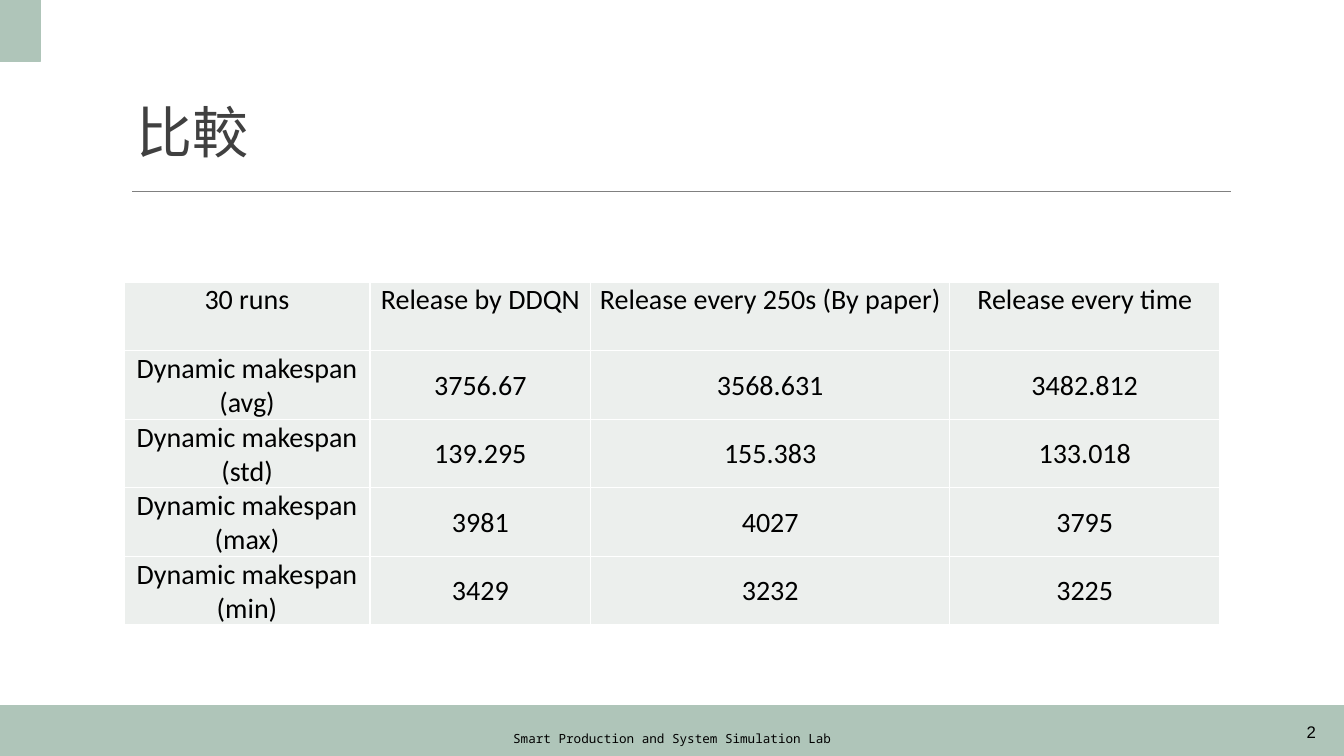
from dataclasses import dataclass

import pptx
import pptx.dml.color
import pptx.enum.shapes
import pptx.enum.text
import pptx.oxml
import pptx.oxml.ns
import pptx.slide
import pptx.table
import pptx.text.text
import pptx.util

Inches = pptx.util.Inches
Pt = pptx.util.Pt
RGBColor = pptx.dml.color.RGBColor
PP_ALIGN = pptx.enum.text.PP_ALIGN
MSO_ANCHOR = pptx.enum.text.MSO_ANCHOR

SAGE = RGBColor(0xAF, 0xC5, 0xB9)
CELL_FILL = RGBColor(0xEC, 0xEF, 0xED)
WHITE = RGBColor(0xFF, 0xFF, 0xFF)
RULE_GRAY = RGBColor(0x80, 0x80, 0x80)
TITLE_GRAY = RGBColor(0x40, 0x40, 0x40)
BLACK = RGBColor(0, 0, 0)

COLUMN_WIDTHS = (2.44, 2.19, 3.56, 2.68)
ROW_HEIGHT = 0.68
RESULTS = (
    ("30 runs", "Release by DDQN", "Release every 250s (By paper)", "Release every time"),
    ("Dynamic makespan (avg)", "3756.67", "3568.631", "3482.812"),
    ("Dynamic makespan (std)", "139.295", "155.383", "133.018"),
    ("Dynamic makespan (max)", "3981", "4027", "3795"),
    ("Dynamic makespan (min)", "3429", "3232", "3225"),
)


@dataclass(frozen=True)
class Box:
    left: float
    top: float
    width: float
    height: float

    def lengths(self) -> tuple[int, ...]:
        return tuple(Inches(n) for n in (self.left, self.top, self.width, self.height))


@dataclass(frozen=True)
class Label:
    text: str
    box: Box
    font_name: str
    size: float
    color: RGBColor = BLACK
    alignment: PP_ALIGN = PP_ALIGN.LEFT
    anchor: MSO_ANCHOR = MSO_ANCHOR.MIDDLE


BANDS = (Box(0, 7, 13.33, 0.5), Box(0, 0, 0.4, 0.61))
TITLE = Label("比較", Box(1.26, 1.09, 10.46, 0.6), "Noto Sans CJK SC", 40,
              TITLE_GRAY, anchor=MSO_ANCHOR.BOTTOM)
FOOTERS = (
    Label("Smart Production and System Simulation Lab", Box(4.03, 7.19, 5.27, 0.28),
          "Noto Sans Mono", 9, alignment=PP_ALIGN.CENTER),
    Label("2", Box(11.72, 7.06, 1.43, 0.4), "Arial", 12, alignment=PP_ALIGN.RIGHT),
)


def add_band(slide: pptx.slide.Slide, box: Box) -> None:
    shape = slide.shapes.add_shape(pptx.enum.shapes.MSO_SHAPE.RECTANGLE, *box.lengths())
    shape.shadow.inherit = False
    shape.fill.solid()
    shape.fill.fore_color.rgb = SAGE
    shape.line.color.rgb = SAGE
    shape.line.width = Pt(1.25)


def add_title_rule(slide: pptx.slide.Slide) -> None:
    rule = slide.shapes.add_connector(
        pptx.enum.shapes.MSO_CONNECTOR.STRAIGHT,
        Inches(1.31), Inches(1.9), Inches(12.21), Inches(1.9))
    rule.line.color.rgb = RULE_GRAY
    rule.line.width = Pt(0.5)
    rule._element.spPr.append(pptx.oxml.parse_xml(
        f'<a:effectLst {pptx.oxml.ns.nsdecls("a")}/>'))


def format_run(run: pptx.text.text._Run, font_name: str, size: float, color: RGBColor) -> None:
    run.font.size = Pt(size)
    run.font.color.rgb = color
    run.font.name = font_name
    run._r.get_or_add_rPr().append(pptx.oxml.parse_xml(
        f'<a:ea {pptx.oxml.ns.nsdecls("a")} typeface="{font_name}"/>'))


def add_label(slide: pptx.slide.Slide, label: Label) -> pptx.text.text._Paragraph:
    text_frame = slide.shapes.add_textbox(*label.box.lengths()).text_frame
    text_frame.word_wrap = True
    text_frame.vertical_anchor = label.anchor
    text_frame.text = label.text
    paragraph = text_frame.paragraphs[0]
    paragraph.alignment = label.alignment
    format_run(paragraph.runs[0], label.font_name, label.size, label.color)
    return paragraph


def add_title(slide: pptx.slide.Slide) -> None:
    paragraph = add_label(slide, TITLE)
    paragraph.line_spacing = 0.85
    paragraph.runs[0]._r.get_or_add_rPr().set("spc", "-50")


def set_borders(cell: pptx.table._Cell) -> None:
    properties = cell._tc.get_or_add_tcPr()
    for position, side in enumerate(("lnL", "lnR", "lnT", "lnB")):
        properties.insert(position, pptx.oxml.parse_xml(
            f'<a:{side} {pptx.oxml.ns.nsdecls("a")} w="{Pt(1)}"><a:solidFill>'
            f'<a:srgbClr val="{WHITE}"/></a:solidFill></a:{side}>'))


def fill_cell(cell: pptx.table._Cell, text: str, anchor: MSO_ANCHOR) -> None:
    cell.text_frame.text = text
    cell.vertical_anchor = anchor
    cell.margin_left = cell.margin_right = cell.margin_top = Inches(0.01)
    cell.margin_bottom = 0
    cell.fill.solid()
    cell.fill.fore_color.rgb = CELL_FILL
    set_borders(cell)
    paragraph = cell.text_frame.paragraphs[0]
    paragraph.alignment = PP_ALIGN.CENTER
    format_run(paragraph.runs[0], "Calibri", 20, BLACK)


def add_results_table(slide: pptx.slide.Slide) -> None:
    box = Box(1.23, 2.8, sum(COLUMN_WIDTHS), ROW_HEIGHT * len(RESULTS))
    table = slide.shapes.add_table(len(RESULTS), len(COLUMN_WIDTHS), *box.lengths()).table
    table.first_row = False
    table.horz_banding = False
    for column, width in zip(table.columns, COLUMN_WIDTHS):
        column.width = Inches(width)
    for row_index, values in enumerate(RESULTS):
        table.rows[row_index].height = Inches(ROW_HEIGHT)
        for column_index, value in enumerate(values):
            is_heading = row_index == 0 or column_index == 0
            anchor = MSO_ANCHOR.TOP if is_heading else MSO_ANCHOR.MIDDLE
            fill_cell(table.cell(row_index, column_index), value, anchor)


def main() -> None:
    presentation = pptx.Presentation()
    presentation.slide_width = Inches(13.33)
    presentation.slide_height = Inches(7.5)
    slide = presentation.slides.add_slide(presentation.slide_layouts[6])
    for band in BANDS:
        add_band(slide, band)
    add_title_rule(slide)
    add_title(slide)
    for footer in FOOTERS:
        add_label(slide, footer)
    add_results_table(slide)
    presentation.save("out.pptx")


if __name__ == "__main__":
    main()
